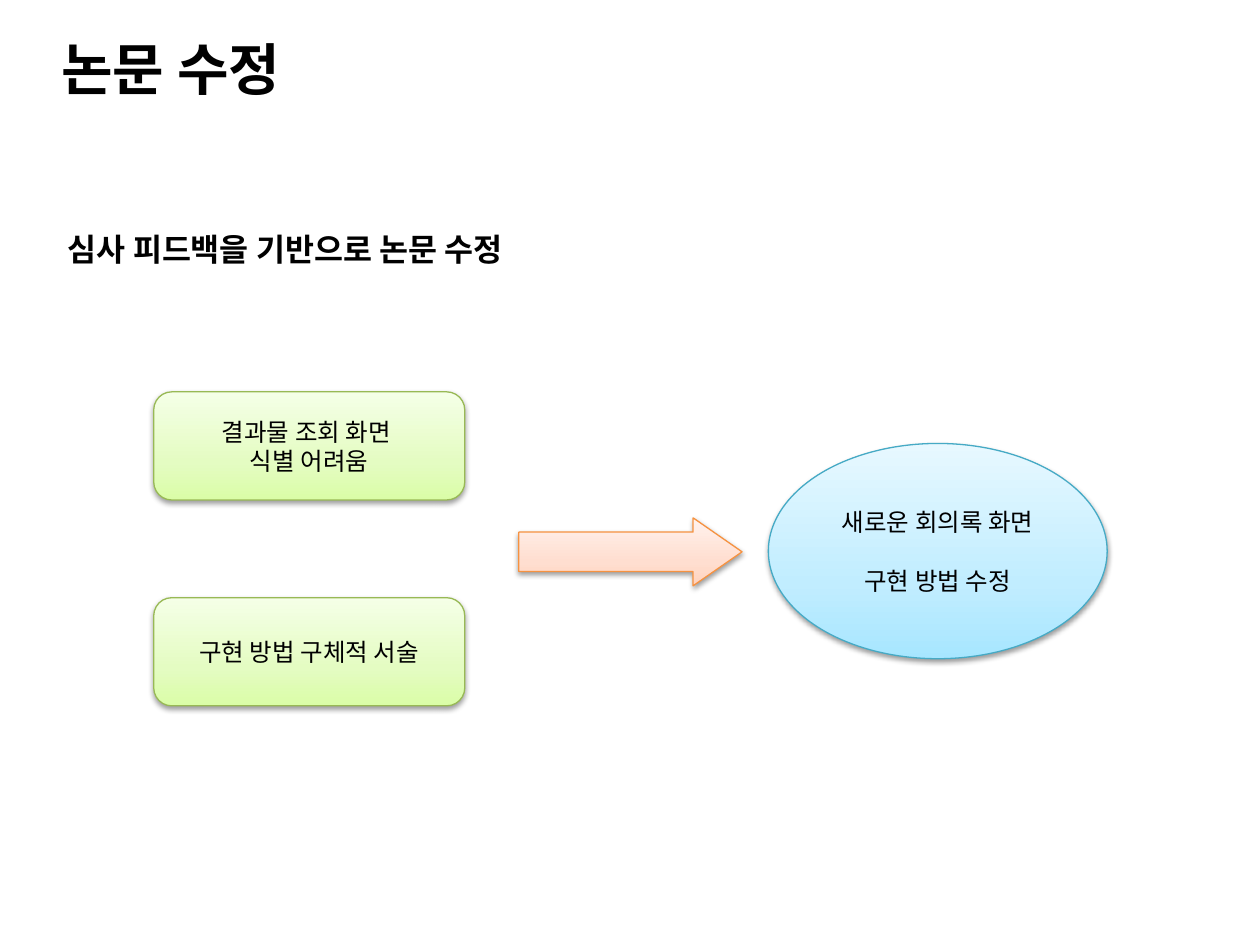
from lxml.etree import SubElement
from copy import deepcopy
from pptx import Presentation
from pptx.dml.color import RGBColor
from pptx.enum.shapes import MSO_SHAPE as Preset
from pptx.enum.text import MSO_ANCHOR as Anchor, PP_ALIGN as Align
from pptx.oxml.ns import qn
from pptx.util import Cm, Pt

GREEN = {"stops": ("DAFDA7", "E4FCC2", "F5FFE7"), "line": "98B955"}
ORANGE = {"stops": ("FFD2BD", "FFDED0", "FFF2ED"), "line": "F69240"}
BLUE = {"stops": ("A7E6FF", "C1EDFF", "E7F8FF"), "line": "46AAC5"}
STOP_POSITIONS = (0, 0.35, 1)

TITLE = {"name": "Noto Sans CJK KR", "size": Pt(32), "bold": True}
HEADING = {"name": "Arial", "size": Pt(18), "bold": True}
BODY = {"name": "Arial", "size": Pt(14), "bold": False}


def color(value):
    return RGBColor.from_string(value)


def write_lines(frame, lines, font_format, alignment, gap=0):
    for index, line in enumerate(lines):
        paragraph = frame.add_paragraph() if index else frame.paragraphs[0]
        paragraph.alignment = alignment
        if index and gap:
            paragraph.space_before = Pt(gap)
        run = paragraph.add_run()
        run.text = line
        for name, value in font_format.items():
            setattr(run.font, name, value)
        run.font.color.rgb = color("000000")


def add_label(slide, box, text, font_format, anchor, wrap):
    frame = slide.shapes.add_textbox(*map(Cm, box)).text_frame
    frame.word_wrap = wrap
    frame.vertical_anchor = anchor
    write_lines(frame, [text], font_format, Align.LEFT)


def fill_gradient(shape, colors):
    shape.fill.gradient()
    shape.fill.gradient_angle = 90
    stop_list = shape._element.spPr.find(".//" + qn("a:gsLst"))
    stop_list.append(deepcopy(stop_list[-1]))
    for stop, value, position in zip(shape.fill.gradient_stops, colors, STOP_POSITIONS):
        stop.color.rgb = color(value)
        stop.position = position


def add_shadow(shape):
    shape.shadow.inherit = False
    effects = shape._element.spPr.find(qn("a:effectLst"))
    shadow = SubElement(effects, qn("a:outerShdw"), blurRad="40000",
                        dist="20000", dir="5400000", rotWithShape="0")
    shade = SubElement(shadow, qn("a:srgbClr"), val="000000")
    SubElement(shade, qn("a:alpha"), val="38000")


def add_block(slide, preset, box, palette, lines=(), gap=0):
    shape = slide.shapes.add_shape(preset, *map(Cm, box))
    fill_gradient(shape, palette["stops"])
    shape.line.color.rgb = color(palette["line"])
    shape.line.width = Pt(0.75)
    add_shadow(shape)
    shape.text_frame.vertical_anchor = Anchor.MIDDLE
    write_lines(shape.text_frame, lines, BODY, Align.CENTER, gap)
    return shape


def main():
    presentation = Presentation()
    presentation.slide_width, presentation.slide_height = Cm(25.4), Cm(19.05)
    slide = presentation.slides.add_slide(presentation.slide_layouts[6])

    add_label(slide, (0.99, 0.56, 22.86, 1.63), "논문 수정", TITLE, Anchor.MIDDLE, True)
    add_label(slide, (1.12, 4.52, 10.21, 1.8), "심사 피드백을 기반으로 논문 수정",
              HEADING, Anchor.TOP, False)

    feedback = (["결과물 조회 화면 ", "식별 어려움"], ["구현 방법 구체적 서술"])
    for row, lines in enumerate(feedback):
        add_block(slide, Preset.ROUNDED_RECTANGLE, (3.1, 7.9 + 4.15 * row, 6.27, 2.18),
                  GREEN, lines)

    arrow = add_block(slide, Preset.RIGHT_ARROW, (10.46, 10.44, 4.5, 1.37), ORANGE)
    arrow.adjustments[0], arrow.adjustments[1] = 0.58, 0.72
    add_block(slide, Preset.OVAL, (15.49, 8.94, 6.83, 4.34), BLUE,
              ["새로운 회의록 화면", "구현 방법 수정"], gap=17)

    presentation.save("out.pptx")


if __name__ == "__main__":
    main()
